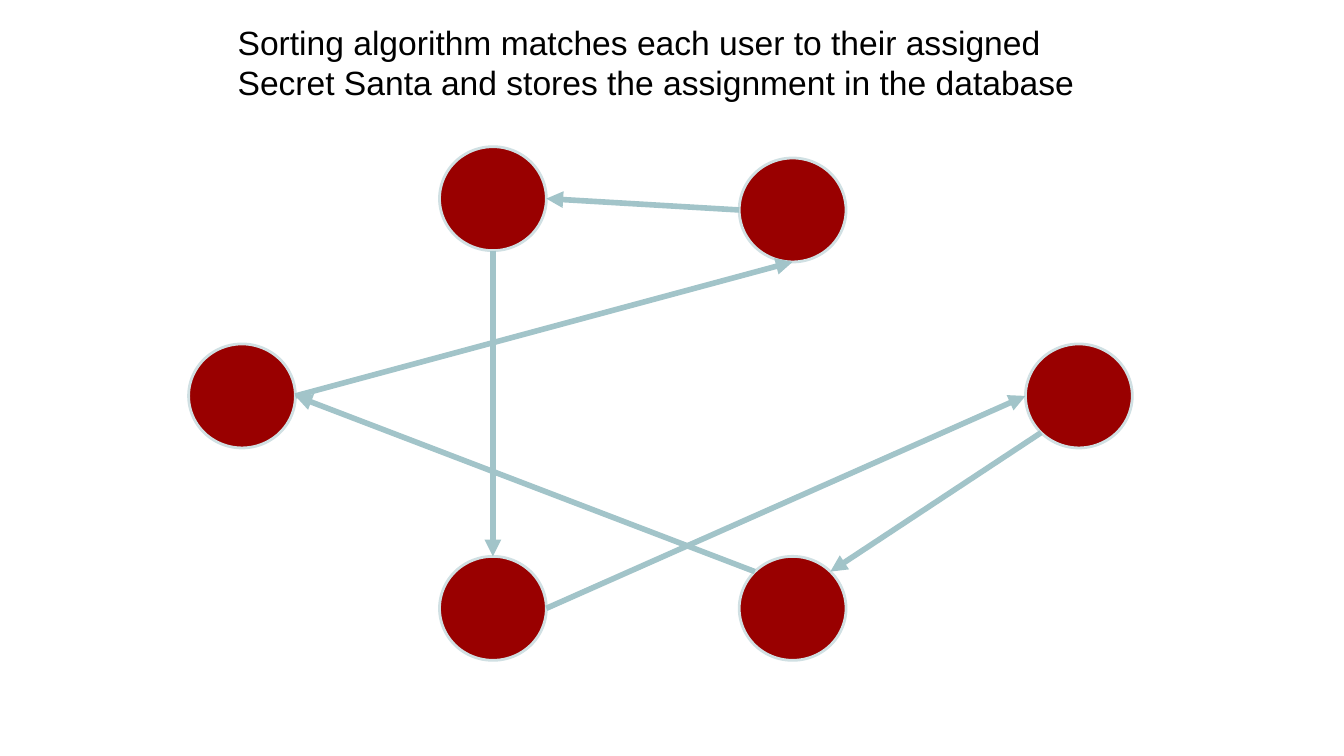
"""Build the slide showing how users are matched to their Secret Santa."""
from math import cos, radians, sin

from lxml import etree
from pptx import Presentation
from pptx.dml.color import RGBColor
from pptx.enum.shapes import MSO_CONNECTOR, MSO_SHAPE
from pptx.oxml.ns import qn
from pptx.util import Inches, Pt

OVAL = MSO_SHAPE.OVAL
STRAIGHT = MSO_CONNECTOR.STRAIGHT
BLACK = RGBColor(0x00, 0x00, 0x00)
DARK_RED = RGBColor(0x99, 0x00, 0x00)
PALE_TEAL = RGBColor(0xD0, 0xE0, 0xE3)
TEAL = RGBColor(0xA2, 0xC4, 0xC9)

deck = Presentation()
deck.slide_width = Inches(10)
deck.slide_height = deck.slide_width * 9 // 16
page = deck.slides.add_slide(deck.slide_layouts[6])
COLUMN = deck.slide_width / 100
ROW = deck.slide_height / 100

USER_WIDTH, USER_HEIGHT = 7.95, 13.75
users = {
    "left": (14.03, 45.5),
    "top left": (32.7, 19.4),
    "top right": (55, 20.9),
    "right": (76.3, 45.5),
    "bottom left": (32.7, 73.6),
    "bottom right": (55, 73.6),
}
EAST, SOUTH, SOUTH_WEST, WEST = 0, 90, 135, 180
NORTH_WEST, NORTH, NORTH_EAST = 225, 270, 315
assignments = [
    ("left", EAST, "top right", SOUTH),
    ("top left", SOUTH, "bottom left", NORTH),
    ("bottom right", NORTH_WEST, "left", EAST),
    ("top right", WEST, "top left", EAST),
    ("bottom left", EAST, "right", WEST),
    ("right", SOUTH_WEST, "bottom right", NORTH_EAST),
]


def rim_point(user, angle):
    left, top = users[user]
    across = left + USER_WIDTH / 2 * (1 + cos(radians(angle)))
    down = top + USER_HEIGHT / 2 * (1 + sin(radians(angle)))
    return int(across * COLUMN), int(down * ROW)


def add_text(text, *, left, top, width, height, size, color, font):
    box = page.shapes.add_textbox(
        int(left * COLUMN), int(top * ROW), int(width * COLUMN), int(height * ROW)
    )
    frame = box.text_frame
    frame.word_wrap = True
    frame.margin_left = frame.margin_right = Inches(0.1)
    frame.margin_top = frame.margin_bottom = Inches(0.1)
    span = frame.paragraphs[0].add_run()
    span.text = text
    span.font.size = Pt(size)
    span.font.name = font
    span.font.color.rgb = color


for left, top in users.values():
    circle = page.shapes.add_shape(
        OVAL, int(left * COLUMN), int(top * ROW),
        int(USER_WIDTH * COLUMN), int(USER_HEIGHT * ROW),
    )
    circle.shadow.inherit = False
    circle.fill.solid()
    circle.fill.fore_color.rgb = DARK_RED
    circle.line.color.rgb = PALE_TEAL
    circle.line.width = Pt(1.5)

for giver, giver_angle, receiver, receiver_angle in assignments:
    arrow = page.shapes.add_connector(
        STRAIGHT, *rim_point(giver, giver_angle), *rim_point(receiver, receiver_angle)
    )
    arrow.line.color.rgb = TEAL
    arrow.line.width = Pt(3)
    etree.SubElement(arrow.line._get_or_add_ln(), qn("a:tailEnd"), type="triangle")
    etree.SubElement(arrow._element.spPr, qn("a:effectLst"))

add_text(
    "Sorting algorithm matches each user to their assigned Secret Santa "
    "and stores the assignment in the database",
    left=16.7, top=1.07, width=66.6, height=18.3,
    size=18, color=BLACK, font="Arial",
)

deck.save("out.pptx")
